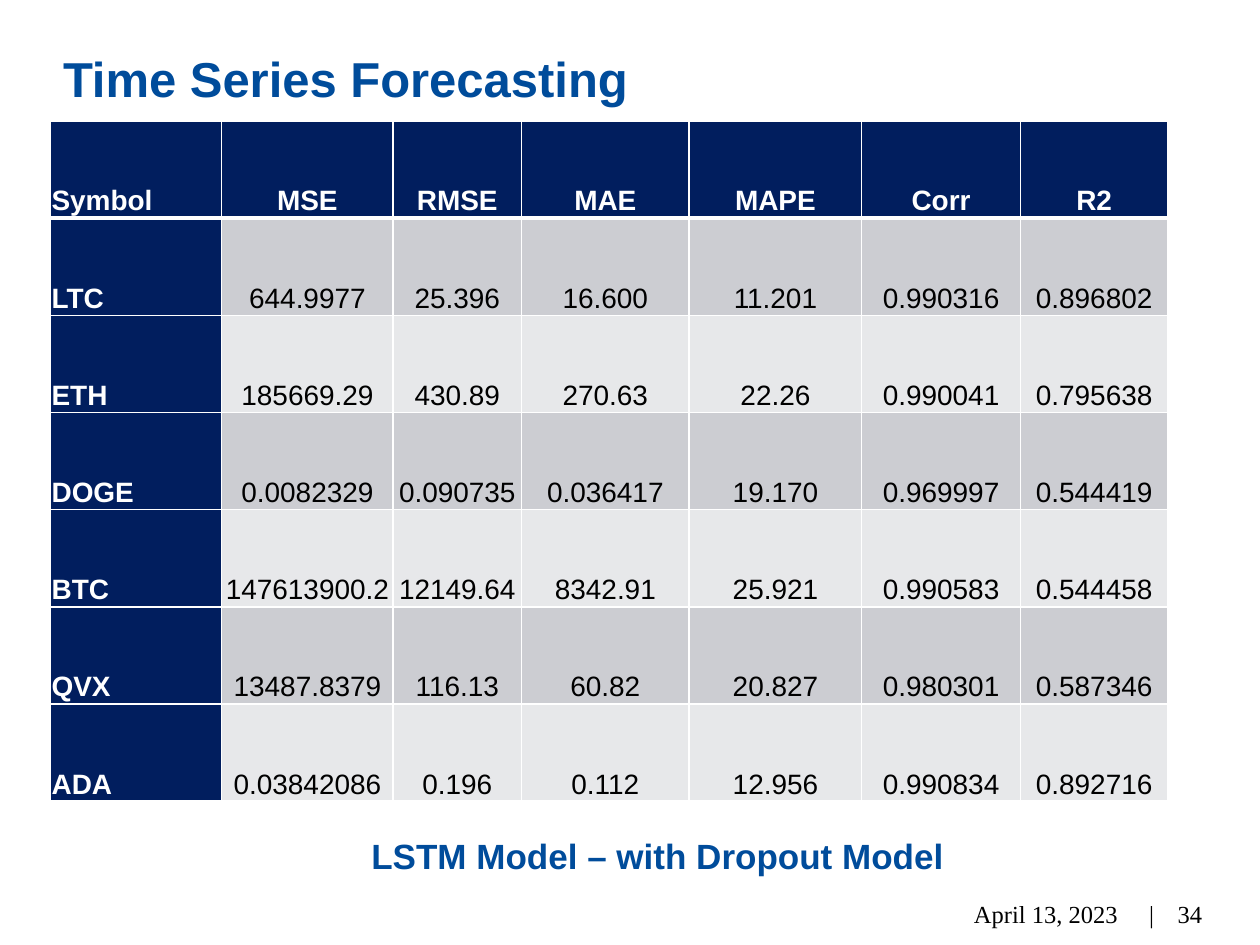
"""Build the time series forecasting slide with its table of error measures."""
import dataclasses

import lxml.etree
import pptx
import pptx.dml.color
import pptx.enum.text
import pptx.oxml.ns
import pptx.util


@dataclasses.dataclass(frozen=True)
class Theme:
    heading_color: str = "004C9B"
    header_fill: str = "011E5E"
    band_fills: tuple = ("CCCDD2", "E7E8EA")
    light: str = "FFFFFF"
    dark: str = "000000"
    sans: str = "Arial"
    serif: str = "Times New Roman"
    title_size: int = 28
    caption_size: int = 20
    table_size: int = 16
    footer_size: int = 14


theme = Theme()
align = pptx.enum.text.PP_ALIGN
anchor = pptx.enum.text.MSO_ANCHOR
qualified = pptx.oxml.ns.qn


def write_text(frame, text, *, size, color, font=theme.sans, bold=False,
               alignment=align.LEFT, vertical=anchor.TOP, spacing=None, after=None, tab=None):
    """Fill a text frame with one formatted paragraph."""
    frame.word_wrap = True
    frame.vertical_anchor = vertical
    paragraph = frame.paragraphs[0]
    paragraph.alignment = alignment
    paragraph.line_spacing = spacing
    paragraph.space_after = after
    if tab is not None:
        tabs = lxml.etree.SubElement(paragraph._p.get_or_add_pPr(), qualified("a:tabLst"))
        lxml.etree.SubElement(tabs, qualified("a:tab"), pos=str(tab), algn="l")
    run = paragraph.add_run()
    run.text = text
    run.font.name = font
    run.font.size = pptx.util.Pt(size)
    run.font.bold = bold
    run.font.color.rgb = pptx.dml.color.RGBColor.from_string(color)


def add_border(cell, side, width):
    """Draw one white side of a table cell."""
    line = lxml.etree.SubElement(cell._tc.get_or_add_tcPr(), qualified(f"a:ln{side}"),
                                 w=str(pptx.util.Pt(width)))
    fill = lxml.etree.SubElement(line, qualified("a:solidFill"))
    lxml.etree.SubElement(fill, qualified("a:srgbClr"), val=theme.light)


presentation = pptx.Presentation()
presentation.slide_width = pptx.util.Inches(10)
presentation.slide_height = pptx.util.Inches(7.5)
column = presentation.slide_width // 100
row = presentation.slide_height // 100
slide = presentation.slides.add_slide(presentation.slide_layouts[5])

heading = {"color": theme.heading_color, "bold": True, "spacing": pptx.util.Pt(26.6)}
heading_width, heading_height = int(92.4 * column), int(7.07 * row)

title = slide.shapes.title
title.left, title.top = 4 * column, int(5.73 * row)
title.width, title.height = heading_width, heading_height
write_text(title.text_frame, "Time Series Forecasting", size=theme.title_size, **heading)

caption = slide.shapes.add_textbox(6 * column, int(87.2 * row), heading_width, heading_height)
write_text(caption.text_frame, "LSTM Model – with Dropout Model",
           size=theme.caption_size, alignment=align.CENTER, **heading)

footer = {"size": theme.footer_size, "color": theme.dark, "font": theme.serif,
          "vertical": anchor.MIDDLE}
footer_top, footer_height = 94 * row, int(5.33 * row)

date = slide.shapes.add_textbox(int(77.3 * column), footer_top, int(15.3 * column), footer_height)
date.text_frame.margin_left = date.text_frame.margin_right = 0
write_text(date.text_frame, "April 13, 2023\t|", tab=int(13.9 * column), **footer)

number = slide.shapes.add_textbox(89 * column, footer_top, int(7.4 * column), footer_height)
write_text(number.text_frame, "34", alignment=align.RIGHT, **footer)

records = [
    ("Symbol", "MSE", "RMSE", "MAE", "MAPE", "Corr", "R2"),
    ("LTC", "644.9977", "25.396", "16.600", "11.201", "0.990316", "0.896802"),
    ("ETH", "185669.29", "430.89", "270.63", "22.26", "0.990041", "0.795638"),
    ("DOGE", "0.0082329", "0.090735", "0.036417", "19.170", "0.969997", "0.544419"),
    ("BTC", "147613900.2", "12149.64", "8342.91", "25.921", "0.990583", "0.544458"),
    ("QVX", "13487.8379", "116.13", "60.82", "20.827", "0.980301", "0.587346"),
    ("ADA", "0.03842086", "0.196", "0.112", "12.956", "0.990834", "0.892716"),
]
column_shares = (13.6, 13.6, 10.2, 13.3, 13.7, 12.6, 11.7)
table = slide.shapes.add_table(len(records), len(column_shares), 4 * column, int(12.8 * row),
                               int(sum(column_shares) * column), int(72 * row)).table
for table_column, share in zip(table.columns, column_shares):
    table_column.width = int(share * column)

for row_index, record in enumerate(records):
    table.rows[row_index].height = int(72 * row / len(records))
    for column_index, value in enumerate(record):
        cell = table.cell(row_index, column_index)
        is_heading = row_index == 0 or column_index == 0
        cell.margin_left = cell.margin_right = pptx.util.Inches(0.01)
        cell.margin_top = cell.margin_bottom = pptx.util.Inches(0.01)
        cell.vertical_anchor = anchor.BOTTOM
        add_border(cell, "L", 1)
        add_border(cell, "R", 1)
        add_border(cell, "T", 3 if row_index == 1 else 1)
        add_border(cell, "B", 3 if row_index == 0 else 1)
        fill_color = theme.header_fill if is_heading else theme.band_fills[(row_index - 1) % 2]
        cell.fill.solid()
        cell.fill.fore_color.rgb = pptx.dml.color.RGBColor.from_string(fill_color)
        write_text(cell.text_frame, value, size=theme.table_size, bold=is_heading,
                   color=theme.light if is_heading else theme.dark,
                   alignment=align.CENTER if column_index else align.LEFT,
                   vertical=anchor.BOTTOM, spacing=1.1, after=pptx.util.Pt(6))

presentation.save("out.pptx")
